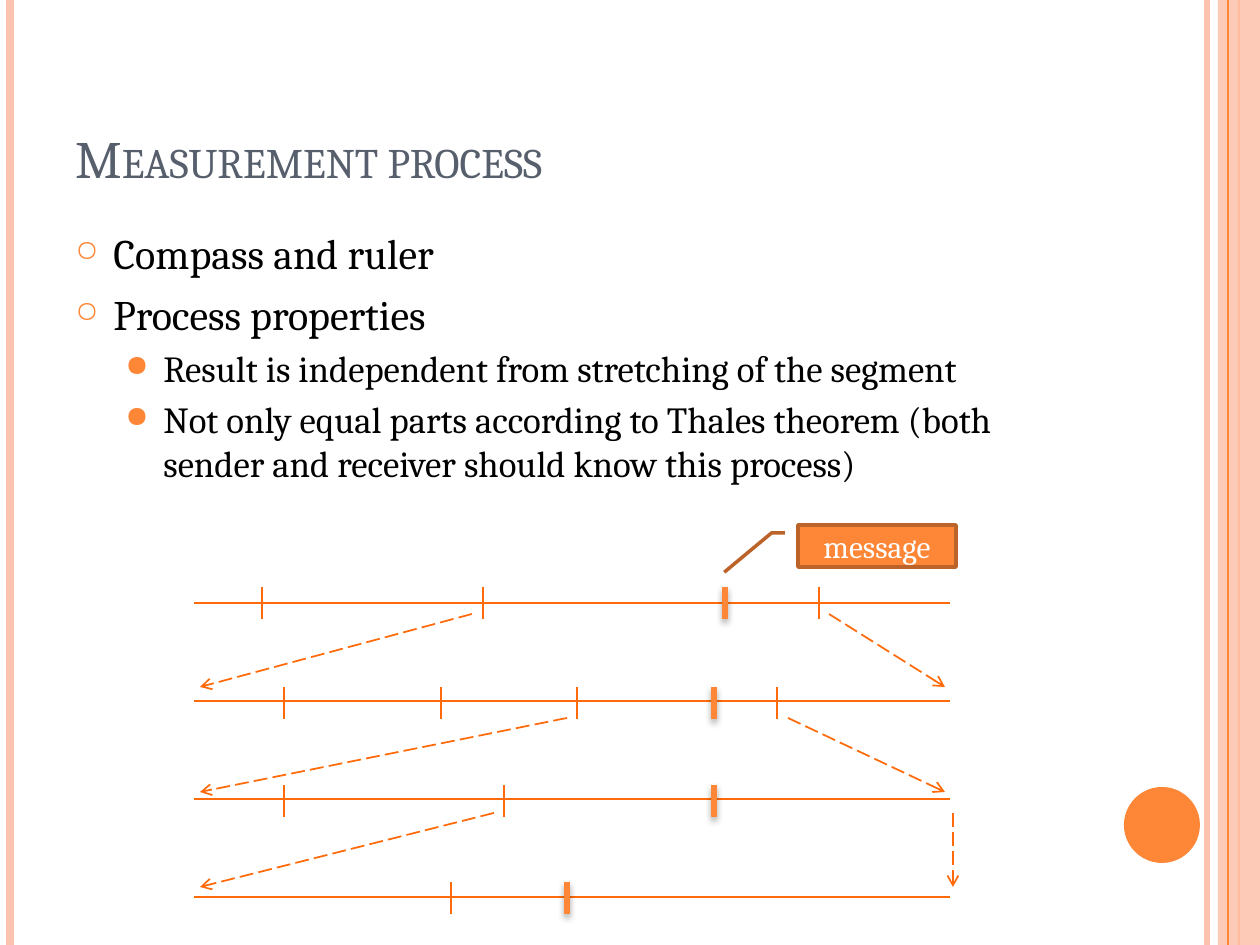
from pptx import Presentation
from pptx.dml.color import RGBColor
from pptx.enum.dml import MSO_LINE
from pptx.enum.shapes import MSO_CONNECTOR, MSO_SHAPE
from pptx.enum.text import MSO_ANCHOR, PP_ALIGN
from pptx.oxml import parse_xml
from pptx.oxml.ns import nsdecls, qn
from pptx.util import Pt
from lxml.etree import SubElement

PX = 914400 // 126
ORANGE = RGBColor(0xFE, 0x86, 0x37)
PEACH = RGBColor(0xFE, 0xC3, 0xAE)
BRIGHT = RGBColor(0xFF, 0x6B, 0x0A)
BROWN = RGBColor(0xBC, 0x63, 0x29)
SLATE = RGBColor(0x57, 0x5F, 0x6D)
BLACK = RGBColor(0, 0, 0)
WHITE = RGBColor(0xFF, 0xFF, 0xFF)
FONT = "Cambria"

prs = Presentation()
prs.slide_width = 1260 * PX
prs.slide_height = 945 * PX
s = prs.slides.add_slide(prs.slide_layouts[6])


def add_line(x1, y1, x2, y2, color, width, shadow=""):
    c = s.shapes.add_connector(
        MSO_CONNECTOR.STRAIGHT, x1 * PX, y1 * PX, x2 * PX, y2 * PX)
    c.line.color.rgb = color
    c.line.width = Pt(width)
    c._element.spPr.append(parse_xml(
        f'<a:effectLst {nsdecls("a")}>{shadow}</a:effectLst>'))
    return c


def style_run(p, size, color):
    r = p.runs[0]
    r.font.name = FONT
    r.font.size = Pt(size)
    r.font.color.rgb = color
    return r


for x, color, width in [(1207, PEACH, 3), (10, PEACH, 4.5), (1239, ORANGE, 1.5)]:
    add_line(x, 0, x, 945, color, width)

band = s.shapes.add_shape(MSO_SHAPE.RECTANGLE, 1218 * PX, 0, 42 * PX, 945 * PX)
disc = s.shapes.add_shape(MSO_SHAPE.OVAL, 1124 * PX, 787 * PX, 76 * PX, 76 * PX)
for sp, color in [(band, PEACH), (disc, ORANGE)]:
    sp.shadow.inherit = False
    sp.fill.solid()
    sp.fill.fore_color.rgb = color
    sp.line.fill.background()
band_color = band._element.spPr.find(qn("a:solidFill"))[0]
SubElement(band_color, qn("a:alpha"), val="87000")
add_line(1228, 0, 1228, 945, ORANGE, 0.75)

title = s.shapes.add_textbox(63 * PX, 38 * PX, 1029 * PX, 157 * PX)
tf = title.text_frame
tf.word_wrap = True
tf.vertical_anchor = MSO_ANCHOR.BOTTOM
tf.text = "Measurement process"
r = style_run(tf.paragraphs[0], 30, SLATE)
r.font._element.set("cap", "small")

body = s.shapes.add_textbox(63 * PX, 221 * PX, 1029 * PX, 294 * PX)
tf = body.text_frame
tf.word_wrap = True
bullets = [
    (0, "Compass and ruler"),
    (0, "Process properties"),
    (1, "Result is independent from stretching of the segment"),
    (1, "Not only equal parts according to Thales theorem "
        "(both sender and receiver should know this process)"),
]
levels = [(38, "○", 70, 24, 6), (88, "●", 80, 21, 4)]
tf.text = "\n".join(text for _, text in bullets)
for i, (p, (level, _)) in enumerate(zip(tf.paragraphs, bullets)):
    margin, char, percent, size, before = levels[level]
    p.level = level
    pPr = p._p.get_or_add_pPr()
    pPr.set("marL", str(margin * PX))
    pPr.set("indent", str(-38 * PX))
    bullet_color = SubElement(pPr, qn("a:buClr"))
    SubElement(bullet_color, qn("a:srgbClr"), val=str(ORANGE))
    SubElement(pPr, qn("a:buSzPct"), val=str(percent * 1000))
    SubElement(pPr, qn("a:buChar"), char=char)
    if i:
        p.space_before = Pt(before)
    style_run(p, size, BLACK)

MARK_SHADOW = (
    '<a:outerShdw blurRad="50800" dist="25400" dir="5400000" rotWithShape="0">'
    '<a:srgbClr val="000000"><a:alpha val="40000"/></a:srgbClr></a:outerShdw>')
segments = [
    (603, 587, (262, 483, 819), 725),
    (701, 687, (284, 441, 577, 777), 714),
    (799, 785, (284, 504), 714),
    (897, 882, (451,), 567),
]
for y, top, ticks, mark in segments:
    add_line(194, y, 950, y, BRIGHT, 1)
    for x in ticks:
        add_line(x, top, x, top + 32, BRIGHT, 1)
    add_line(mark, top, mark, top + 32, ORANGE, 3, MARK_SHADOW)

stretches = [
    (614, 687, 472, 829, 945),
    (718, 792, 567, 788, 945),
    (813, 887, 494, 953, 953),
]
for y1, y2, left, right, right_end in stretches:
    for x1, x2 in [(left, 200), (right, right_end)]:
        c = add_line(x1, y1, x2, y2, BRIGHT, 1)
        c.line.dash_style = MSO_LINE.LONG_DASH
        SubElement(c.line._get_or_add_ln(), qn("a:tailEnd"), type="arrow")

callout = s.shapes.add_shape(
    MSO_SHAPE.LINE_CALLOUT_2, 798 * PX, 525 * PX, 158 * PX, 42 * PX)
callout.shadow.inherit = False
callout.fill.solid()
callout.fill.fore_color.rgb = ORANGE
callout.line.color.rgb = BROWN
callout.line.width = Pt(2)
tf = callout.text_frame
tf.vertical_anchor = MSO_ANCHOR.MIDDLE
tf.text = "message"
tf.paragraphs[0].alignment = PP_ALIGN.CENTER
style_run(tf.paragraphs[0], 18, WHITE)

prs.save("out.pptx")
